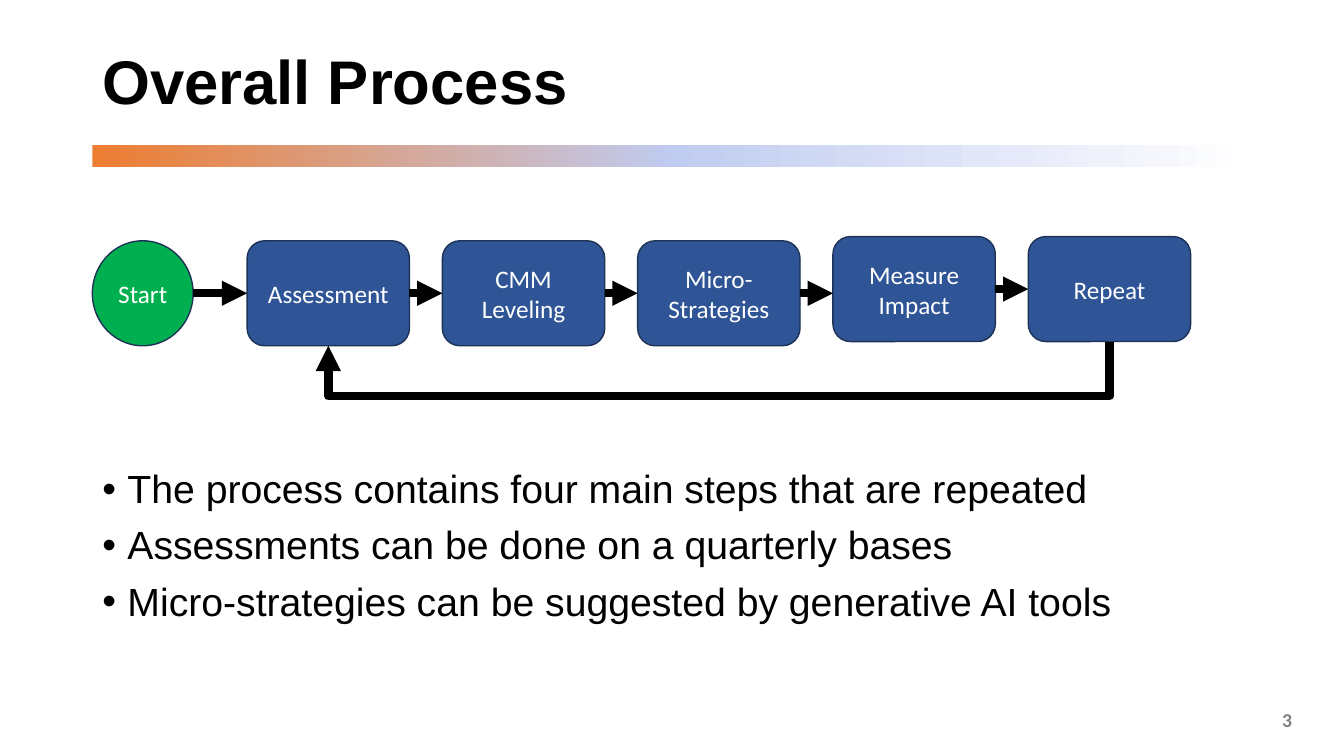
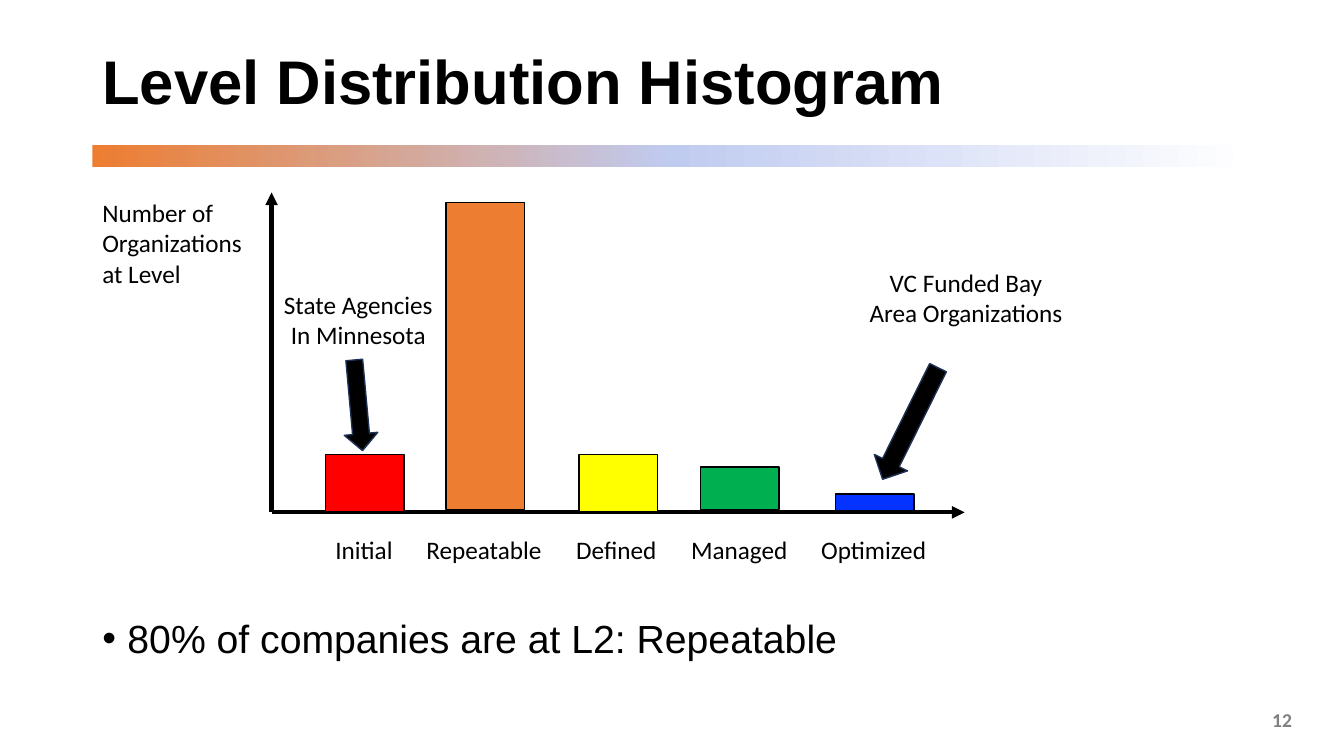
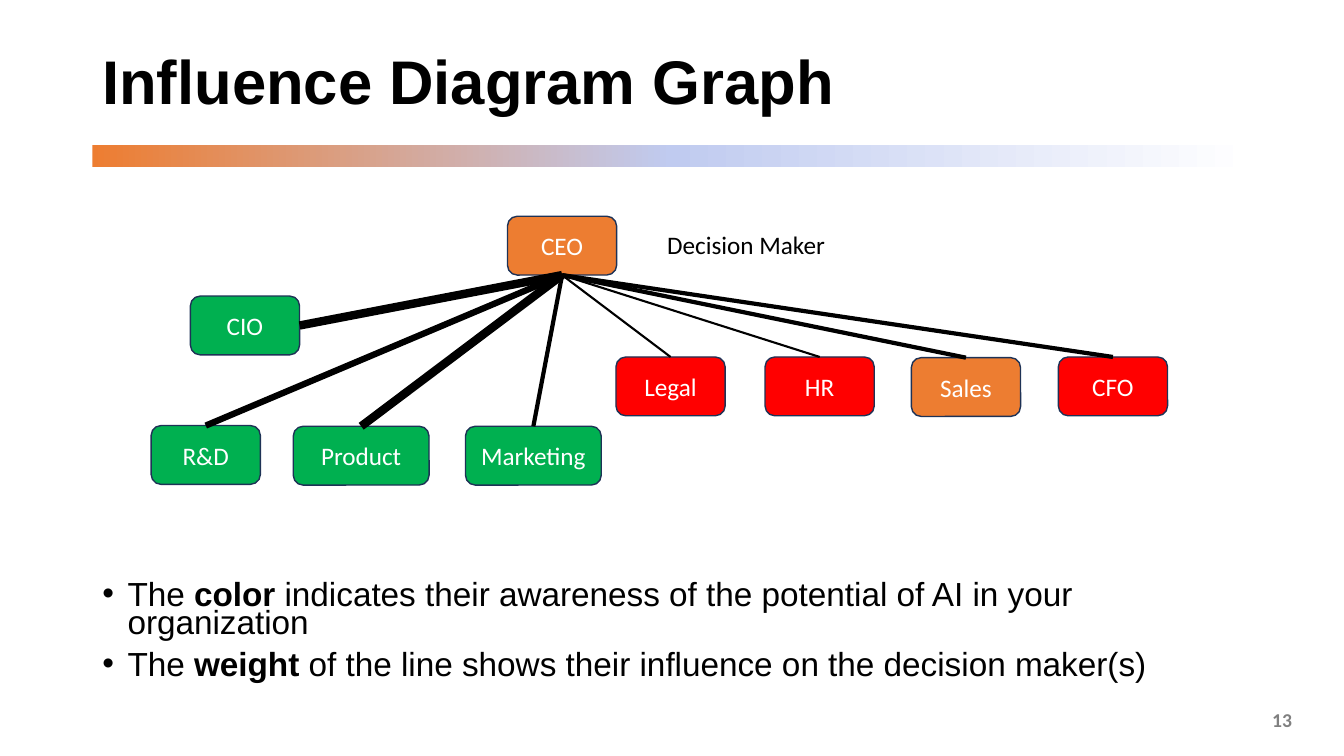
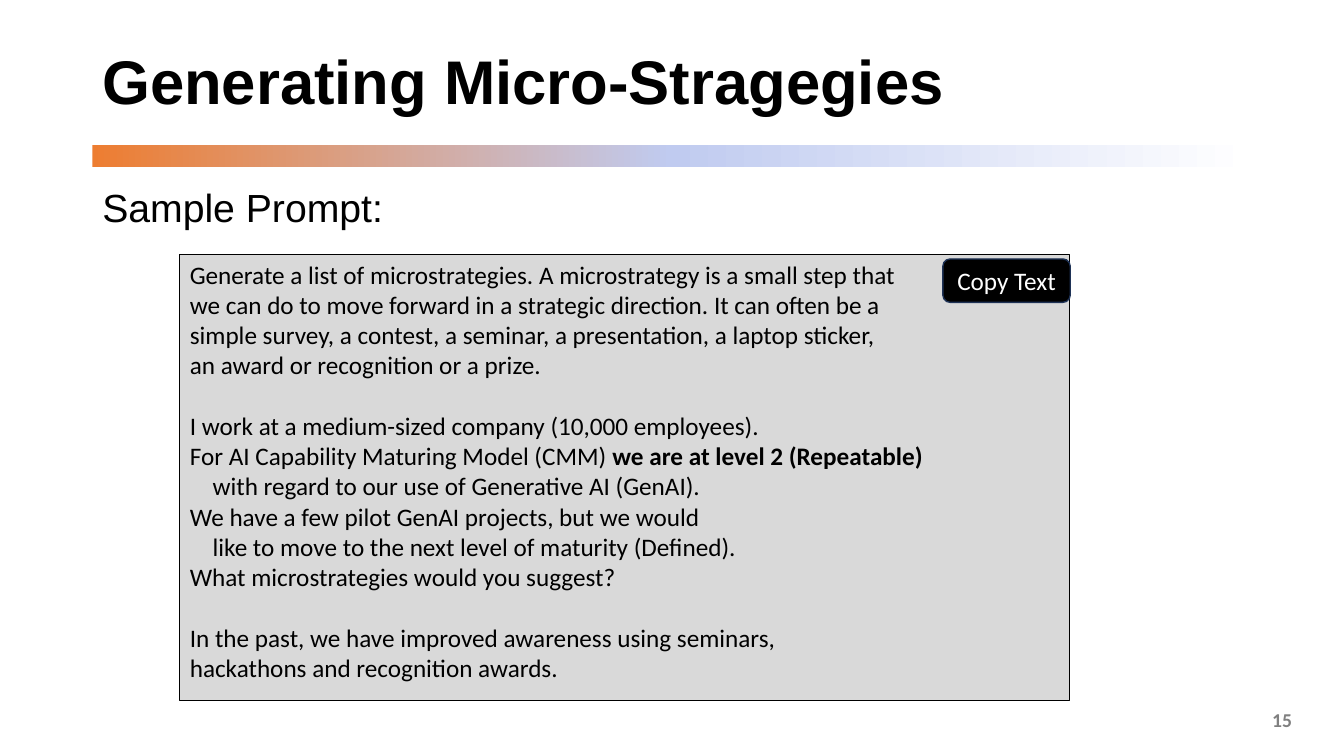
import copy

import pptx
import pptx.dml.color
import pptx.enum.dml
import pptx.enum.shapes
import pptx.enum.text
import pptx.oxml
import pptx.oxml.ns
import pptx.oxml.xmlchemy
import pptx.util

Pt = pptx.util.Pt
SHAPE = pptx.enum.shapes.MSO_SHAPE
CONNECTOR = pptx.enum.shapes.MSO_CONNECTOR
ALIGN = pptx.enum.text.PP_ALIGN
ANCHOR = pptx.enum.text.MSO_ANCHOR
AUTO_SIZE = pptx.enum.text.MSO_AUTO_SIZE

COLORS = {
    "black": "000000",
    "white": "FFFFFF",
    "page number": "808080",
    "outline": "1E3256",
    "step": "2F5597",
    "green": "00B050",
    "orange": "ED7D31",
    "periwinkle": "C0CBF0",
    "red": "FF0000",
    "yellow": "FFFF00",
    "blue": "0432FF",
    "prompt": "D9D9D9",
}
RGB = {name: pptx.dml.color.RGBColor.from_string(value) for name, value in COLORS.items()}

# Text styles: frame, paragraph and font attributes, then the font colour
STYLES = {
    "title": {
        "frame": {"word_wrap": True, "vertical_anchor": ANCHOR.MIDDLE},
        "paragraph": {"line_spacing": 0.9},
        "font": {"name": "Arial", "size": Pt(44), "bold": True},
        "color": "black",
    },
    "body": {
        "frame": {"word_wrap": True, "vertical_anchor": ANCHOR.TOP},
        "paragraph": {"line_spacing": 0.9, "space_before": Pt(10)},
        "font": {"name": "Arial", "size": Pt(28)},
        "color": "black",
    },
    "dense body": {
        "frame": {"word_wrap": True, "vertical_anchor": ANCHOR.TOP},
        "paragraph": {"line_spacing": 0.7, "space_before": Pt(10)},
        "font": {"name": "Arial", "size": Pt(23.8)},
        "color": "black",
    },
    "page number": {
        "frame": {"word_wrap": True, "vertical_anchor": ANCHOR.MIDDLE},
        "paragraph": {"alignment": ALIGN.RIGHT},
        "font": {"name": "Calibri", "size": Pt(14), "bold": True},
        "color": "page number",
    },
    "node": {
        "frame": {"word_wrap": True, "vertical_anchor": ANCHOR.MIDDLE},
        "paragraph": {"alignment": ALIGN.CENTER},
        "font": {"name": "Calibri", "size": Pt(18)},
        "color": "white",
    },
    "label": {
        "frame": {"word_wrap": False, "auto_size": AUTO_SIZE.SHAPE_TO_FIT_TEXT},
        "paragraph": {"alignment": ALIGN.LEFT},
        "font": {"name": "Calibri", "size": Pt(18)},
        "color": "black",
    },
    "callout": {
        "frame": {"word_wrap": False, "auto_size": AUTO_SIZE.SHAPE_TO_FIT_TEXT},
        "paragraph": {"alignment": ALIGN.CENTER},
        "font": {"name": "Calibri", "size": Pt(18)},
        "color": "black",
    },
    "prompt": {
        "frame": {"word_wrap": True, "vertical_anchor": ANCHOR.TOP},
        "paragraph": {"alignment": ALIGN.LEFT},
        "font": {"name": "Calibri", "size": Pt(18)},
        "color": "black",
    },
}


def add_shape(slide, kind, box, fill, outline="outline", weight=1):
    """Add a filled preset shape; box is left, top, width, height in points."""
    shape = slide.shapes.add_shape(kind, *map(Pt, box))
    shape.shadow.inherit = False
    shape.fill.solid()
    shape.fill.fore_color.rgb = RGB[fill]
    shape.line.color.rgb = RGB[outline]
    shape.line.width = Pt(weight)
    return shape


def write(shape, style_name, lines, bullet=False):
    """Fill a shape with one paragraph a line; **marks** set bold."""
    style = STYLES[style_name]
    frame = shape.text_frame
    for name, value in style["frame"].items():
        setattr(frame, name, value)
    for number, line in enumerate(lines):
        paragraph = frame.add_paragraph() if number else frame.paragraphs[0]
        for name, value in style["paragraph"].items():
            setattr(paragraph, name, value)
        for index, part in enumerate(line.split("**")):
            run = paragraph.add_run()
            run.text = part
            for name, value in style["font"].items():
                setattr(run.font, name, value)
            run.font.color.rgb = RGB[style["color"]]
            if index % 2:
                run.font.bold = True
        if bullet:
            properties = paragraph._p.get_or_add_pPr()
            properties.set("marL", str(Pt(18)))
            properties.set("indent", str(Pt(-18)))
            for tag, name, value in (("a:buFont", "typeface", "Arial"), ("a:buChar", "char", "•")):
                mark = pptx.oxml.xmlchemy.OxmlElement(tag)
                mark.set(name, value)
                properties.append(mark)


presentation = pptx.Presentation()
presentation.slide_width = Pt(960)
presentation.slide_height = Pt(540)
connectors = []  # connector, weight, has an arrowhead

# Shared parts and body text of every slide
PAGES = [
    ("Overall Process", "3", "body", (66, 332, 828, 154), True, [
        "The process contains four main steps that are repeated",
        "Assessments can be done on a quarterly bases",
        "Micro-strategies can be suggested by generative AI tools",
    ]),
    ("Level Distribution Histogram", "12", "body", (66, 439, 828, 47.5), True, [
        "80% of companies are at L2: Repeatable",
    ]),
    ("Influence Diagram Graph", "13", "dense body", (66, 414, 818, 86.5), True, [
        "The **color** indicates their awareness of the potential of AI in your organization",
        "The **weight** of the line shows their influence on the decision maker(s)",
    ]),
    ("Generating Micro-Stragegies", "15", "body", (66, 131, 230, 28), False, ["Sample Prompt:"]),
]
for title, page_number, body_style, body_box, bullet, body_lines in PAGES:
    slide = presentation.slides.add_slide(presentation.slide_layouts[6])

    band = add_shape(slide, SHAPE.RECTANGLE, (66, 103.5, 828, 15.5), "orange")
    band.line.fill.background()
    band.fill.gradient()
    band.fill.gradient_angle = 0
    stop_list = band.element.spPr.find(".//" + pptx.oxml.ns.qn("a:gsLst"))
    stop_list.append(copy.deepcopy(stop_list[0]))
    stops = zip(band.fill.gradient_stops, (0, 0.5, 1), ("orange", "periwinkle", "white"))
    for stop, position, color in stops:
        stop.position = position
        stop.color.rgb = RGB[color]

    for style_name, box, lines, has_bullet in (
        ("title", (66, 17.25, 828, 86.5), [title], False),
        (body_style, body_box, body_lines, bullet),
        ("page number", (714, 499.5, 216, 29), [page_number], False),
    ):
        write(slide.shapes.add_textbox(*map(Pt, box)), style_name, lines, has_bullet)

process, histogram, influence, prompting = presentation.slides

# Process: start circle and a row of steps
STEP_LEFT, STEP_PITCH, STEP_WIDTH, STEP_HEIGHT = 176.5, 139.5, 116, 75
ROW_TOP, RAISED_TOP = 172, 169
start = add_shape(process, SHAPE.OVAL, (66, ROW_TOP, 72, STEP_HEIGHT), "green")
write(start, "node", ["Start"])
steps = []
for index, (lines, top) in enumerate([
    (["Assessment"], ROW_TOP),
    (["CMM Leveling"], ROW_TOP),
    (["Micro-Strategies"], ROW_TOP),
    (["Measure", "Impact"], RAISED_TOP),
    (["Repeat"], RAISED_TOP),
]):
    box = (STEP_LEFT + index * STEP_PITCH, top, STEP_WIDTH, STEP_HEIGHT)
    step = add_shape(process, SHAPE.ROUNDED_RECTANGLE, box, "step")
    write(step, "node", lines)
    steps.append(step)

# Process: arrows from each step to the next, level with the first of the two
for source, target in zip([start] + steps, steps):
    middle = source.top + source.height // 2
    arrow = process.shapes.add_connector(
        CONNECTOR.STRAIGHT, source.left + source.width, middle, target.left, middle)
    if source is not start:
        arrow.begin_connect(source, 3)
    if target.top == source.top:
        arrow.end_connect(target, 1)
    connectors.append((arrow, 6, True))

# Process: loop back from the last step, a bent connector turned by 90 degrees
first, last = steps[0], steps[-1]
loop = process.shapes.add_connector(CONNECTOR.ELBOW, 0, 0, 0, 0)
loop.begin_connect(last, 2)
loop.end_connect(first, 2)
span = last.left - first.left
rise = first.top - last.top
loop_drop = Pt(39)
transform = loop.element.spPr.find(pptx.oxml.ns.qn("a:xfrm"))
for flip in ("flipH", "flipV"):
    transform.attrib.pop(flip, None)
transform.set("rot", "5400000")
loop.width, loop.height = rise, span
loop.left = first.left + first.width // 2 + (span - rise) // 2
loop.top = last.top + last.height + (rise - span) // 2
adjustments = loop.element.spPr.find(".//" + pptx.oxml.ns.qn("a:avLst"))
if adjustments is None:
    geometry = loop.element.spPr.find(pptx.oxml.ns.qn("a:prstGeom"))
    adjustments = pptx.oxml.xmlchemy.OxmlElement("a:avLst")
    geometry.append(adjustments)
guide = pptx.oxml.xmlchemy.OxmlElement("a:gd")
guide.set("name", "adj1")
guide.set("fmla", f"val {loop_drop * 100000 // rise}")
adjustments.append(guide)
connectors.append((loop, 6, True))

# Histogram: axes
AXIS_LEFT, AXIS_BOTTOM = 194, 366
for end_left, end_top in ((AXIS_LEFT, 137.5), (689, AXIS_BOTTOM)):
    axis = histogram.shapes.add_connector(
        CONNECTOR.STRAIGHT, *map(Pt, (AXIS_LEFT, AXIS_BOTTOM, end_left, end_top)))
    connectors.append((axis, 3, True))

# Histogram: bars and their names
for name, name_left, name_width, bar_left, bar_top, bar_bottom, fill in [
    ("Initial", 232.5, 56, 232.5, 324.5, 365.5, "red"),
    ("Repeatable", 297.5, 98, 318.5, 144.5, 364, "orange"),
    ("Defined", 404.5, 73, 413.5, 324.5, 365.5, "yellow"),
    ("Managed", 486.5, 84, 500.5, 333.5, 364, "green"),
    ("Optimized", 579.5, 91, 597, 353, 364.5, "blue"),
]:
    bar_box = (bar_left, bar_top, 56, bar_bottom - bar_top)
    add_shape(histogram, SHAPE.RECTANGLE, bar_box, fill, "black")
    label = histogram.shapes.add_textbox(*map(Pt, (name_left, 378, name_width, 29)))
    write(label, "label", [name])

# Histogram: axis title and callouts
for style_name, box, lines in [
    ("label", (66, 137.5, 115, 73), ["Number of", "Organizations", "at Level"]),
    ("callout", (613, 187.5, 154, 51), ["VC Funded Bay", "Area Organizations"]),
    ("callout", (195, 203, 122, 51), ["State Agencies", "In Minnesota"]),
]:
    write(histogram.shapes.add_textbox(*map(Pt, box)), style_name, lines)
for box, rotation in (((637, 258, 26.5, 89), 26.4), ((244, 257, 24, 65), 354.8)):
    pointer = add_shape(histogram, SHAPE.DOWN_ARROW, box, "black")
    pointer.rotation = rotation

# Influence: decision maker
NODE_WIDTH, WIDE_NODE, NODE_HEIGHT = 78, 97, 42
ceo = add_shape(
    influence, SHAPE.ROUNDED_RECTANGLE, (362.5, 154.5, NODE_WIDTH, NODE_HEIGHT), "orange")
write(ceo, "node", ["CEO"])
label = influence.shapes.add_textbox(*map(Pt, (469.5, 160.5, 129, 29)))
write(label, "label", ["Decision Maker"])

# Influence: people, joined to the decision maker from the given side
for name, left, top, width, fill, weight, side in [
    ("CIO", 136, 211.5, NODE_WIDTH, "green", 6, 3),
    ("R&D", 108, 304, NODE_WIDTH, "green", 4.5, 0),
    ("Product", 209.5, 304.5, WIDE_NODE, "green", 6, 0),
    ("Marketing", 332.5, 304.5, WIDE_NODE, "green", 3, 0),
    ("Legal", 440, 255, NODE_WIDTH, "red", 1.5, 0),
    ("HR", 546.5, 255, NODE_WIDTH, "red", 1.5, 0),
    ("Sales", 651, 255.5, NODE_WIDTH, "orange", 3, 0),
    ("CFO", 756, 255, NODE_WIDTH, "red", 3, 0),
]:
    person = add_shape(
        influence, SHAPE.ROUNDED_RECTANGLE, (left, top, width, NODE_HEIGHT), fill)
    write(person, "node", [name])
    link = influence.shapes.add_connector(CONNECTOR.STRAIGHT, 0, 0, 0, 0)
    link.begin_connect(person, side)
    link.end_connect(ceo, 2)
    connectors.append((link, weight, False))

# Prompt: text panel with indented continuations and gaps between its parts
panel = add_shape(
    prompting, SHAPE.RECTANGLE, (128.5, 181.5, 635.5, 319), "prompt", "black", 0.75)
write(panel, "prompt", [
    "Generate a list of microstrategies. A microstrategy is a small step that",
    "we can do to move forward in a strategic direction. It can often be a",
    "simple survey, a contest, a seminar, a presentation, a laptop sticker,",
    "an award or recognition or a prize.",
    "I work at a medium-sized company (10,000 employees).",
    "For AI Capability Maturing Model (CMM) **we are at level 2 (Repeatable)**",
    "with regard to our use of Generative AI (GenAI).",
    "We have a few pilot GenAI projects, but we would",
    "like to move to the next level of maturity (Defined).",
    "What microstrategies would you suggest?",
    "In the past, we have improved awareness using seminars,",
    "hackathons and recognition awards.",
])
for paragraph in panel.text_frame.paragraphs:
    if paragraph.text.startswith(("I work", "In the past")):
        paragraph.space_before = Pt(21.6)
    if paragraph.text.startswith(("with regard", "like to move")):
        paragraph._p.get_or_add_pPr().set("marL", str(Pt(16.3)))

# Prompt: button
button = add_shape(prompting, SHAPE.ROUNDED_RECTANGLE, (673.5, 185, 91, 31), "black")
write(button, "node", ["Copy Text"])

# Line format of all connectors
for connector, weight, has_arrowhead in connectors:
    connector.line.color.rgb = RGB["black"]
    connector.line.width = Pt(weight)
    if has_arrowhead:
        arrowhead = pptx.oxml.xmlchemy.OxmlElement("a:tailEnd")
        arrowhead.set("type", "triangle")
        connector.line._get_or_add_ln().append(arrowhead)
    connector.element.spPr.append(pptx.oxml.xmlchemy.OxmlElement("a:effectLst"))

presentation.save("out.pptx")
